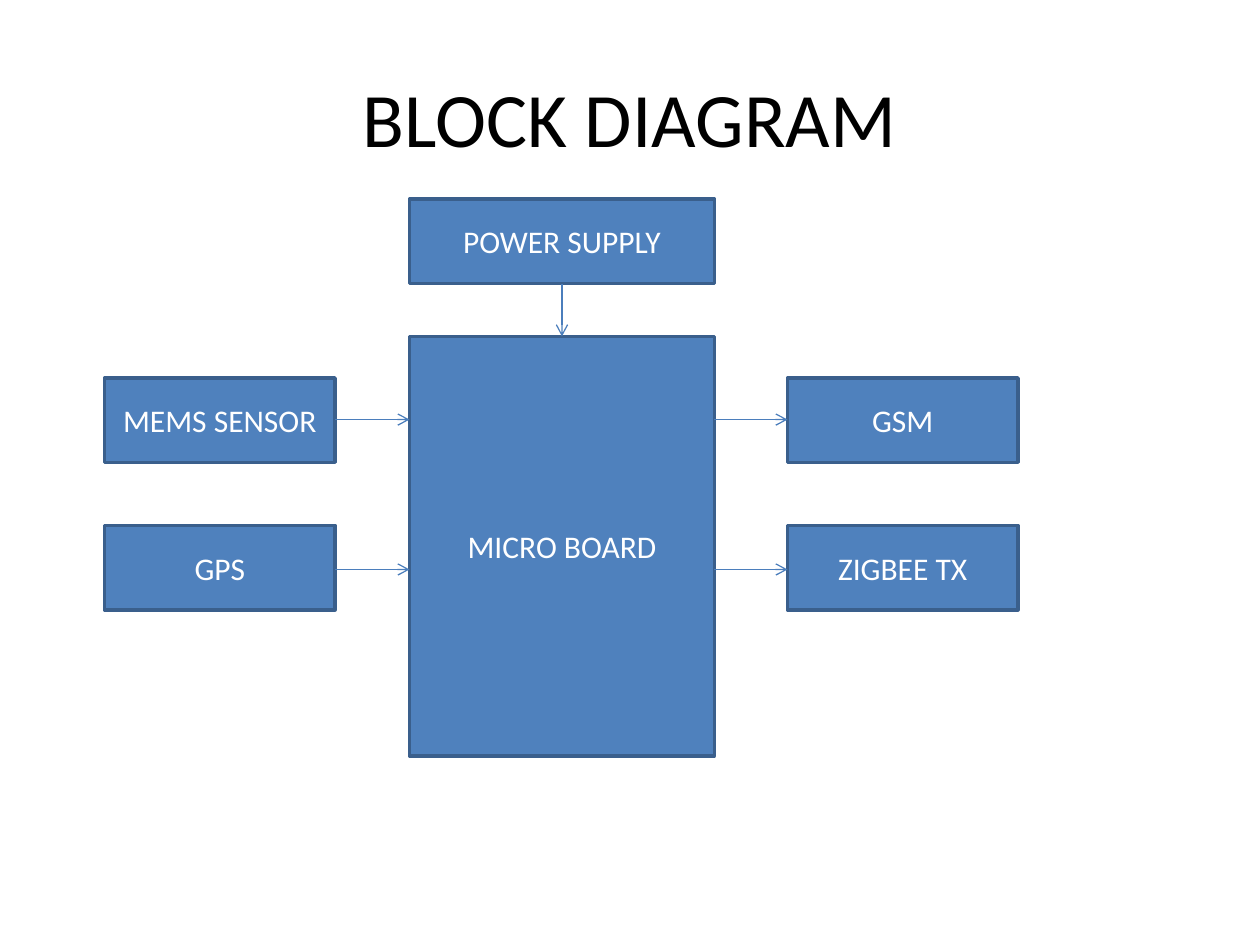
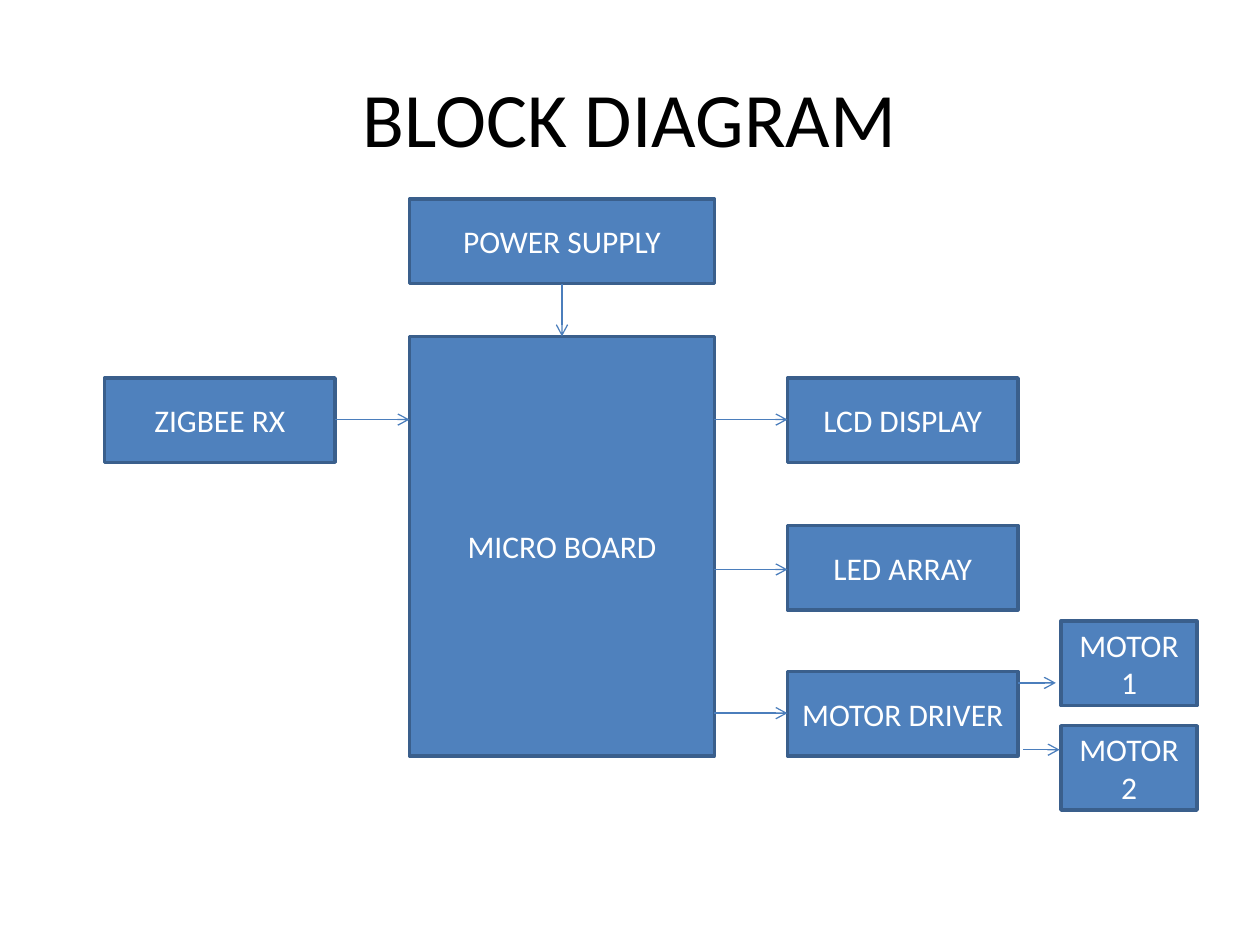
from pptx import Presentation
from pptx.dml.color import RGBColor
from pptx.enum.shapes import MSO_CONNECTOR, MSO_SHAPE
from pptx.enum.text import MSO_ANCHOR, PP_ALIGN
from pptx.oxml.ns import qn
from pptx.util import Inches, Pt
from lxml.etree import SubElement

FONT = "Calibri"
BLACK, WHITE = "000000", "FFFFFF"
BOX_FILL, BOX_LINE, ARROW = "4F81BD", "3A5F8C", "4B7EBC"

BOX_H = 0.67
SIDE_W = 1.83
INPUT_X, BOARD_X, OUTPUT_X, MOTOR_X = 0.83, 3.25, 6.25, 8.42
BOARD_W, BOARD_Y, BOARD_H = 2.42, 2.67, 3.33
POWER_Y = 1.58
ROW_TOPS = (3, 4.17, 5.33)
ROW_ARROWS = (3.33, 4.52, 5.66)


def color(hex_code):
    return RGBColor.from_string(hex_code)


def write(sp, text, size=18, font_color=WHITE):
    tf = sp.text_frame
    tf.word_wrap = True
    tf.vertical_anchor = MSO_ANCHOR.MIDDLE
    p = tf.paragraphs[0]
    p.alignment = PP_ALIGN.CENTER
    r = p.add_run()
    r.text = text
    r.font.name = FONT
    r.font.size = Pt(size)
    r.font.color.rgb = color(font_color)


def add_title(s, text):
    sp = s.shapes.add_textbox(Inches(0.5), Inches(0.3), Inches(9), Inches(1.25))
    write(sp, text, size=44, font_color=BLACK)


def add_box(s, text, x, y, w, h=BOX_H):
    sp = s.shapes.add_shape(MSO_SHAPE.RECTANGLE, Inches(x), Inches(y), Inches(w), Inches(h))
    sp.shadow.inherit = False
    sp.fill.solid()
    sp.fill.fore_color.rgb = color(BOX_FILL)
    sp.line.color.rgb = color(BOX_LINE)
    sp.line.width = Pt(2)
    write(sp, text)


def add_arrow(s, x1, y1, x2, y2):
    line = s.shapes.add_connector(
        MSO_CONNECTOR.STRAIGHT, Inches(x1), Inches(y1), Inches(x2), Inches(y2))
    line.line.color.rgb = color(ARROW)
    line.line.width = Pt(0.75)
    SubElement(line.line._get_or_add_ln(), qn("a:tailEnd"), type="arrow")
    SubElement(line._element.spPr, qn("a:effectLst"))


def add_diagram(prs, inputs, outputs):
    s = prs.slides.add_slide(prs.slide_layouts[6])
    add_title(s, "BLOCK DIAGRAM")
    add_box(s, "POWER SUPPLY", BOARD_X, POWER_Y, BOARD_W)
    add_box(s, "MICRO BOARD", BOARD_X, BOARD_Y, BOARD_W, BOARD_H)
    center = BOARD_X + BOARD_W / 2
    add_arrow(s, center, POWER_Y + BOX_H, center, BOARD_Y)
    for text, top, y in zip(inputs, ROW_TOPS, ROW_ARROWS):
        add_box(s, text, INPUT_X, top, SIDE_W)
        add_arrow(s, INPUT_X + SIDE_W, y, BOARD_X, y)
    for text, top, y in zip(outputs, ROW_TOPS, ROW_ARROWS):
        add_box(s, text, OUTPUT_X, top, SIDE_W)
        add_arrow(s, BOARD_X + BOARD_W, y, OUTPUT_X, y)
    return s


def add_motors(s):
    motors = (("MOTOR 1", 4.93, 8.08, 8.38, 5.42),
              ("MOTOR 2", 5.76, 8.12, 8.41, 5.95))
    for text, top, start, end, y in motors:
        add_box(s, text, MOTOR_X, top, 1.08)
        add_arrow(s, start, y, end, y)


def main():
    prs = Presentation()
    prs.slide_width, prs.slide_height = Inches(10), Inches(7.5)
    add_diagram(prs, ["MEMS SENSOR", "GPS"], ["GSM", "ZIGBEE TX"])
    receiver = add_diagram(prs, ["ZIGBEE RX"], ["LCD DISPLAY", "LED ARRAY", "MOTOR DRIVER"])
    add_motors(receiver)
    prs.save("out.pptx")


main()
